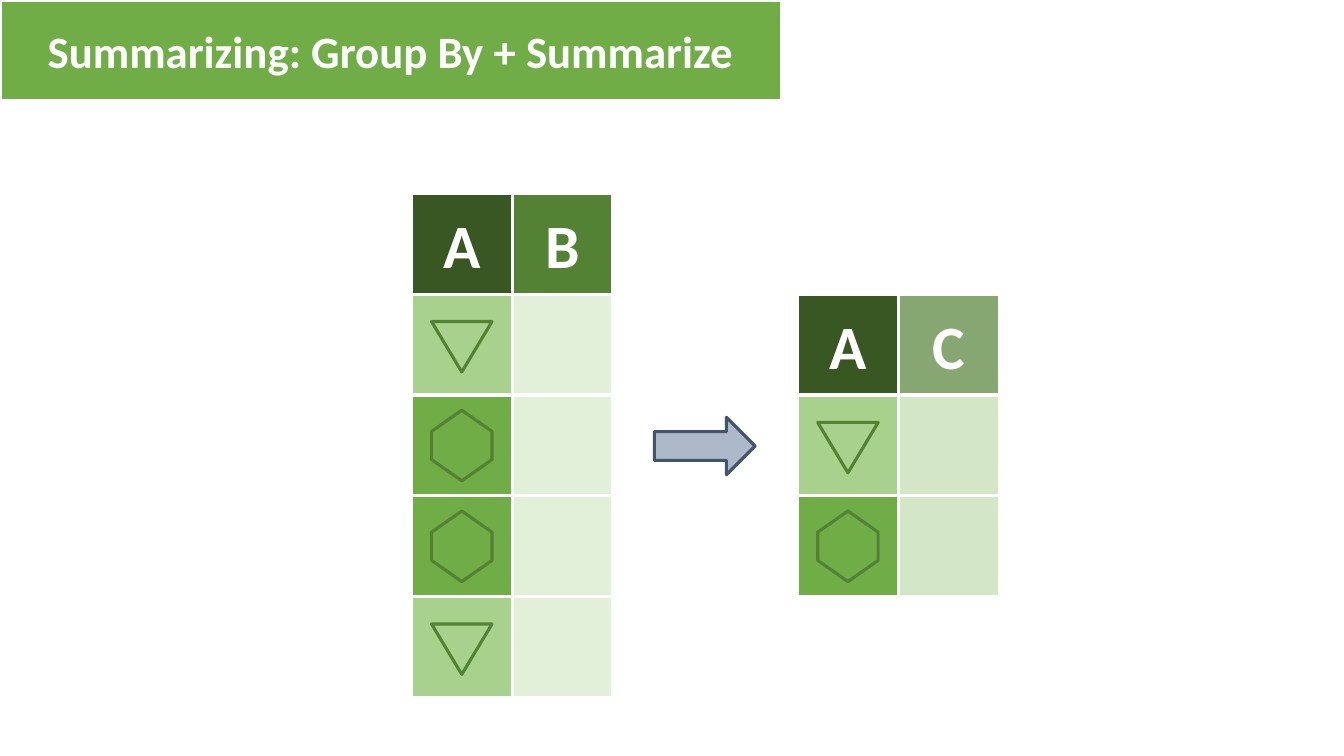
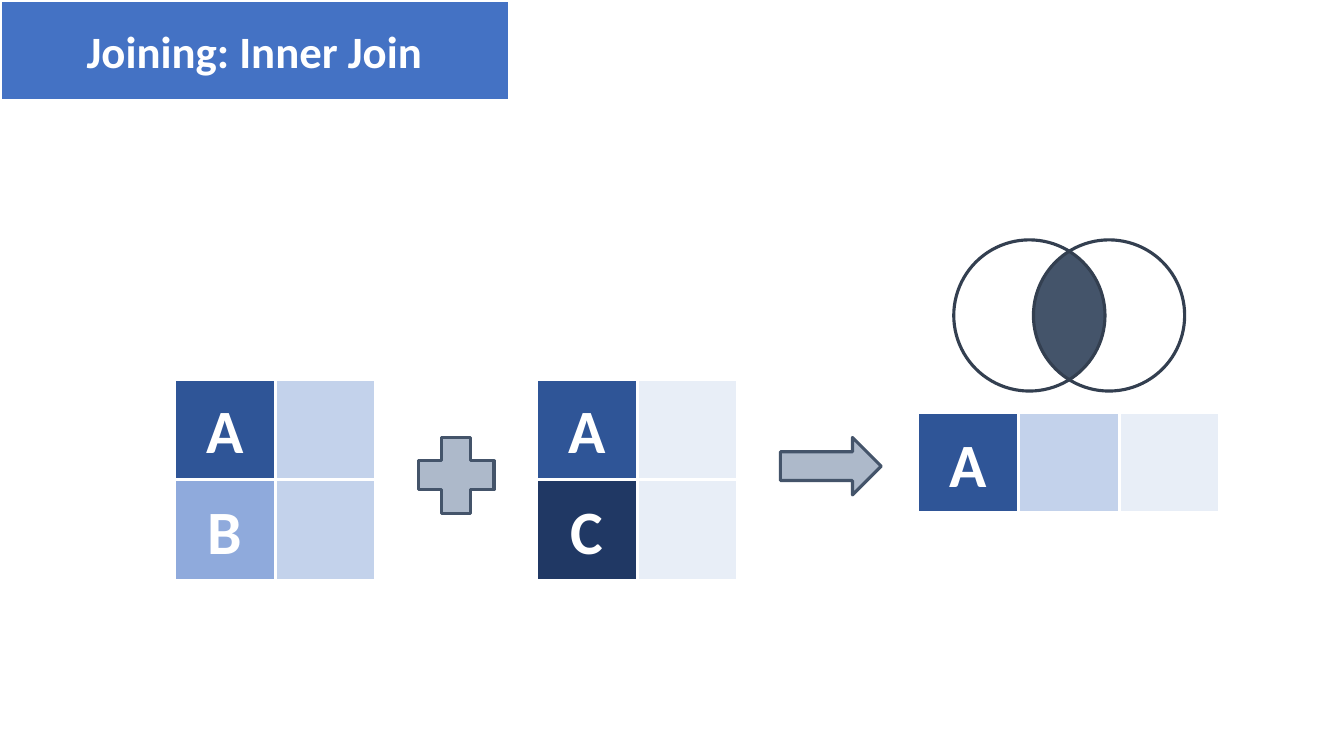
from math import acos, cos, sin
from typing import NamedTuple

from lxml.etree import SubElement
from pptx import Presentation
from pptx.dml.color import RGBColor
from pptx.enum.shapes import MSO_SHAPE as Preset
from pptx.enum.text import MSO_ANCHOR as Anchor, MSO_AUTO_SIZE as AutoSize, PP_ALIGN as Align
from pptx.oxml.ns import qn
from pptx.util import Inches, Pt

FONT = "Calibri"
WHITE = "FFFFFF"
DARK_GREEN, MID_GREEN, GREEN = "385723", "548235", "70AD47"
LIGHT_GREEN, PALE_GREEN = "A9D18E", "E2F0D9"
BLUE, DARK_BLUE, NAVY, SOFT_BLUE = "4472C4", "2F5597", "203864", "8FAADC"
LIGHT_BLUE, PALE_BLUE = "B4C7E7", "DAE3F3"
SLATE, DARK_SLATE, LIGHT_SLATE = "44546A", "333F50", "ADB9CA"

CELL_SIZE = 1
TITLE_ONLY = 5


class Cell(NamedTuple):
    fill: str
    label: str = ""
    opacity: int = 100
    icon: str = ""


def rgb(color):
    return RGBColor.from_string(color)


def paint(shape, fill=None, line=None, opacity=100):
    """Set fill and outline; None means no fill or no outline."""
    if fill:
        shape.fill.solid()
        shape.fill.fore_color.rgb = rgb(fill)
        if opacity < 100:
            color = shape._element.spPr.find(qn("a:solidFill")).find(qn("a:srgbClr"))
            SubElement(color, qn("a:alpha"), val=str(opacity * 1000))
    else:
        shape.fill.background()
    if line:
        shape.line.color.rgb = rgb(line)
        shape.line.width = Pt(2.25)
    else:
        shape.line.fill.background()


def write(shape, text, size):
    frame = shape.text_frame
    frame.text = text
    frame.word_wrap = True
    frame.auto_size = AutoSize.NONE
    frame.vertical_anchor = Anchor.MIDDLE
    paragraph = frame.paragraphs[0]
    paragraph.alignment = Align.CENTER
    font = paragraph.font
    font.name, font.size, font.bold = FONT, Pt(size), True
    font.color.rgb = rgb(WHITE)


def add_preset(slide, preset, left, top, width, height, fill=None, line=None, opacity=100):
    shape = slide.shapes.add_shape(
        preset, Inches(left), Inches(top), Inches(width), Inches(height))
    shape.shadow.inherit = False
    paint(shape, fill, line, opacity)
    return shape


def add_titled_slide(presentation, text, width, color):
    slide = presentation.slides.add_slide(presentation.slide_layouts[TITLE_ONLY])
    title = slide.shapes.title
    title.left, title.top = 0, 0
    title.width, title.height = Inches(width), Inches(1)
    paint(title, color, WHITE)
    write(title, text, 32)
    return slide


def add_icon(slide, icon, center_x, center_y):
    if icon == "triangle":
        shape = add_preset(slide, Preset.ISOSCELES_TRIANGLE, center_x - 0.3,
                           center_y - 0.23, 0.6, 0.5, line=MID_GREEN)
        shape.rotation = 180
    else:
        shape = add_preset(slide, Preset.HEXAGON, center_x - 0.35,
                           center_y - 0.3, 0.7, 0.6, line=MID_GREEN)
        shape.adjustments[0] = 0.35
        shape.rotation = 90


def add_grid(slide, left, top, rows):
    """Draw rows of square cells, each with its label or icon."""
    for row_index, row in enumerate(rows):
        for column_index, cell in enumerate(row):
            x = left + column_index * CELL_SIZE
            y = top + row_index * CELL_SIZE
            square = add_preset(slide, Preset.RECTANGLE, x, y, CELL_SIZE, CELL_SIZE,
                                cell.fill, WHITE, cell.opacity)
            if cell.label:
                write(square, cell.label, 44)
            if cell.icon:
                add_icon(slide, cell.icon, x + CELL_SIZE / 2, y + CELL_SIZE / 2)


def add_arrow(slide, left, top):
    add_preset(slide, Preset.RIGHT_ARROW, left, top, 1, 0.57, LIGHT_SLATE, SLATE)


def add_venn(slide, left_center, right_center, center_y, radius):
    """Draw two circles with their shared lens filled."""
    half_angle = acos((right_center - left_center) / 2 / radius)
    steps = 24
    angles = [half_angle * (2 * step / steps - 1) for step in range(steps + 1)]
    arcs = ((left_center, 1), (right_center, -1))
    points = [(Inches(center + side * radius * cos(angle)),
               Inches(center_y + side * radius * sin(angle)))
              for center, side in arcs for angle in angles]
    builder = slide.shapes.build_freeform(*points[0])
    builder.add_line_segments(points[1:], close=True)
    lens = builder.convert_to_shape()
    lens.shadow.inherit = False
    paint(lens, SLATE)
    for center in (right_center, left_center):
        add_preset(slide, Preset.OVAL, center - radius, center_y - radius,
                   2 * radius, 2 * radius, line=DARK_SLATE)


def add_summarize_slide(presentation):
    slide = add_titled_slide(presentation, "Summarizing: Group By + Summarize", 7.75, GREEN)
    header = Cell(DARK_GREEN, "A")
    triangle = Cell(LIGHT_GREEN, icon="triangle")
    hexagon = Cell(GREEN, icon="hexagon")
    value = Cell(PALE_GREEN)
    summary = Cell(LIGHT_GREEN, opacity=50)
    groups = (triangle, hexagon, hexagon, triangle)
    add_grid(slide, 4.08, 1.92,
             [(header, Cell(MID_GREEN, "B"))] + [(group, value) for group in groups])
    add_arrow(slide, 6.49, 4.14)
    add_grid(slide, 7.91, 2.92,
             [(header, Cell(MID_GREEN, "C", 70)), (triangle, summary), (hexagon, summary)])


def add_join_slide(presentation):
    slide = add_titled_slide(presentation, "Joining: Inner Join", 5.05, BLUE)
    key = Cell(DARK_BLUE, "A")
    left_value = Cell(LIGHT_BLUE, opacity=80)
    right_value = Cell(PALE_BLUE, opacity=60)
    add_grid(slide, 1.73, 3.76, [(key, left_value), (Cell(SOFT_BLUE, "B"), left_value)])
    plus = add_preset(slide, Preset.CROSS, 4.15, 4.34, 0.75, 0.75, LIGHT_SLATE, SLATE)
    plus.adjustments[0] = 0.31
    add_grid(slide, 5.32, 3.76, [(key, right_value), (Cell(NAVY, "C"), right_value)])
    add_arrow(slide, 7.74, 4.34)
    add_venn(slide, 10.21, 11, 3.13, 0.75)
    add_grid(slide, 9.1, 4.09, [(key, left_value, right_value)])


def main():
    presentation = Presentation()
    presentation.slide_width, presentation.slide_height = Inches(13.33), Inches(7.5)
    add_summarize_slide(presentation)
    add_join_slide(presentation)
    presentation.save("out.pptx")


if __name__ == "__main__":
    main()
